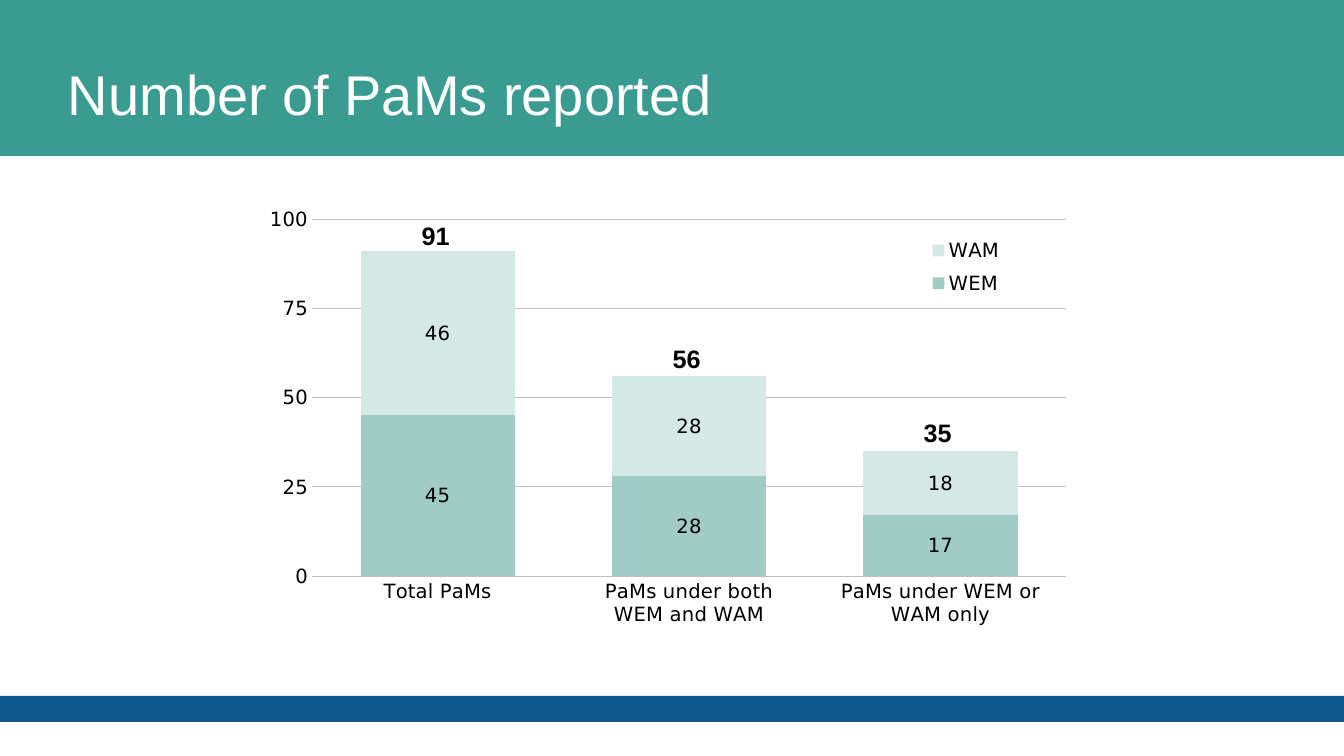
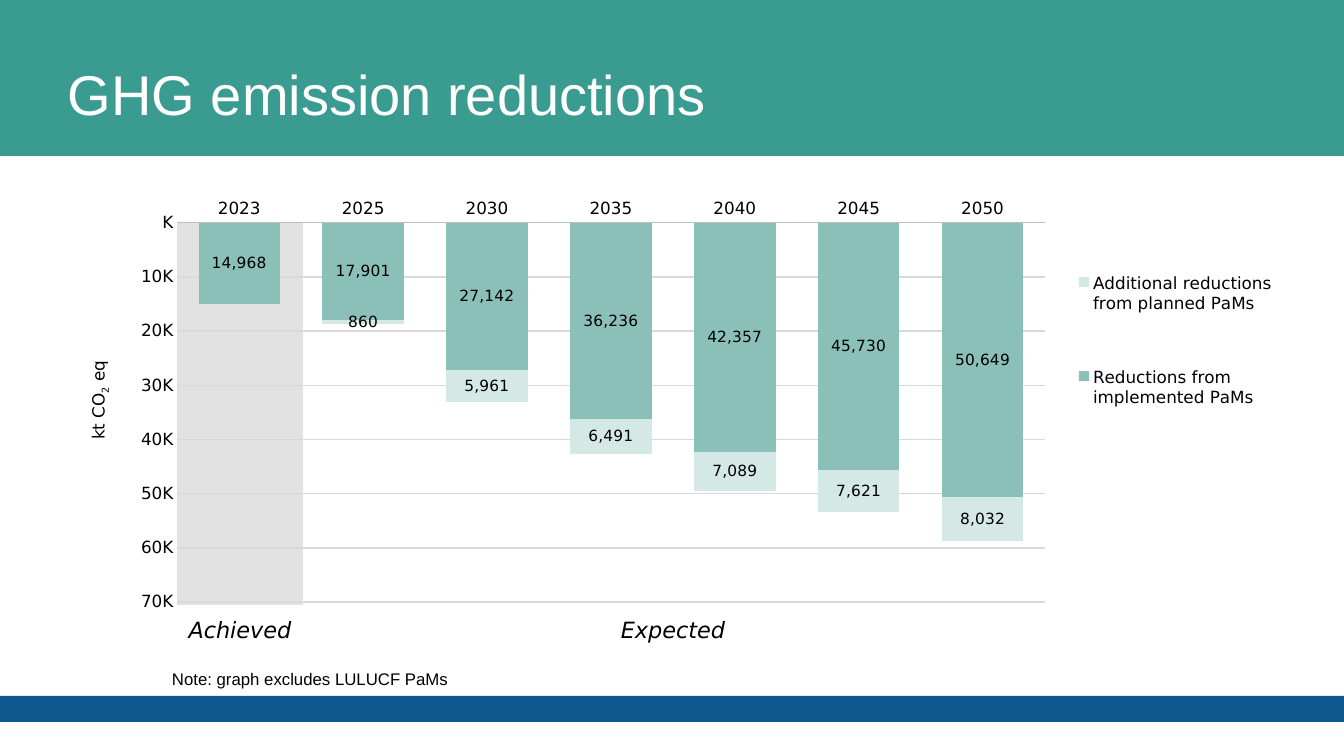
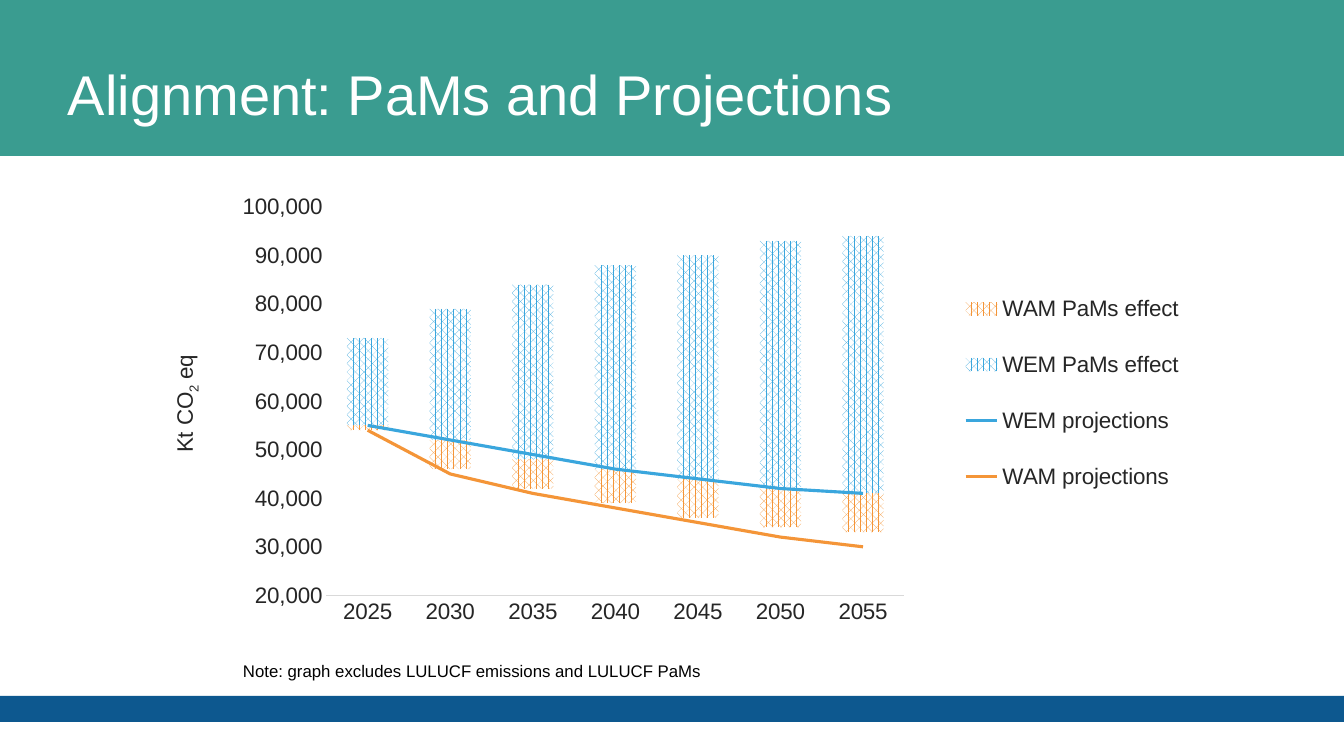
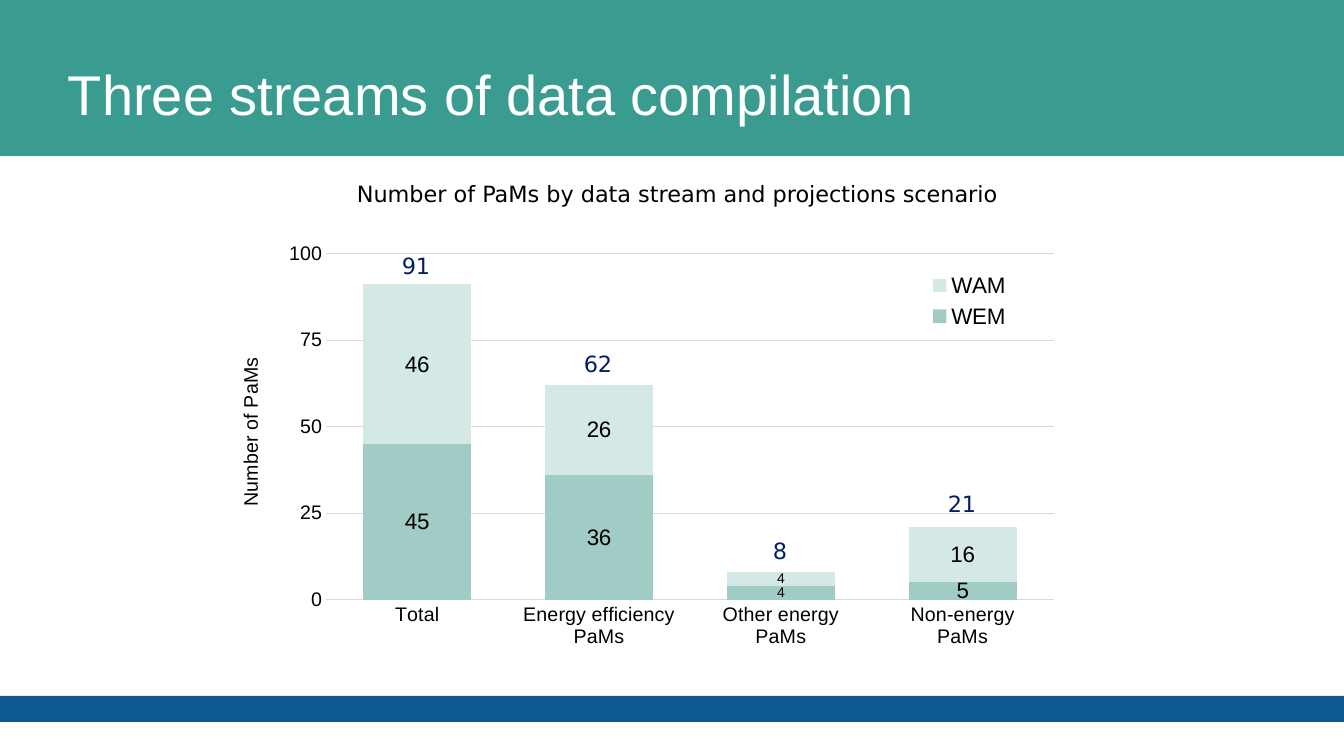
from pptx import Presentation
from pptx.chart.data import CategoryChartData
from pptx.dml.color import RGBColor
from pptx.enum.chart import XL_CHART_TYPE, XL_LABEL_POSITION, XL_LEGEND_POSITION, XL_MARKER_STYLE, XL_TICK_MARK
from pptx.enum.dml import MSO_PATTERN
from pptx.enum.shapes import MSO_SHAPE
from pptx.enum.text import MSO_ANCHOR, PP_ALIGN
from pptx.oxml import parse_xml
from pptx.util import Pt

STACKED = XL_CHART_TYPE.COLUMN_STACKED
CENTER_LABEL = XL_LABEL_POSITION.CENTER
RIGHT, BOTTOM = XL_LEGEND_POSITION.RIGHT, XL_LEGEND_POSITION.BOTTOM
NO_MARKER, NO_TICK = XL_MARKER_STYLE.NONE, XL_TICK_MARK.NONE
DOTS = MSO_PATTERN.PERCENT_60
RECT = MSO_SHAPE.RECTANGLE
TOP, MIDDLE = MSO_ANCHOR.TOP, MSO_ANCHOR.MIDDLE
LEFT, CENTER = PP_ALIGN.LEFT, PP_ALIGN.CENTER

PX = 9071
NS = 'xmlns:c="http://schemas.openxmlformats.org/drawingml/2006/chart"'
SANS, DEJAVU = "Arial", "DejaVu Sans"
BLACK, DARK, WHITE, NAVY = "000000", "262626", "FFFFFF", "002060"
TEAL, BLUE, SHADE = "3A9C90", "0D588F", "E2E2E2"
MINT, PALE, SEA = "A0CCC5", "D4E8E5", "8AC0B7"
SKY, ORANGE = "3AA6DD", "F49538"
GRAY, LIGHT = "BFBFBF", "D9D9D9"


def rgb(color):
    return RGBColor.from_string(color)


def text(s, content, box, size=12, font=SANS, color=BLACK, bold=False,
         italic=False, align=LEFT, anchor=TOP):
    tf = s.shapes.add_textbox(*(v * PX for v in box)).text_frame
    tf.word_wrap = True
    tf.margin_left = tf.margin_right = tf.margin_top = tf.margin_bottom = 0
    tf.vertical_anchor = anchor
    p = tf.paragraphs[0]
    p.alignment = align
    r = p.add_run()
    r.text = content
    r.font.name, r.font.size = font, Pt(size)
    r.font.bold, r.font.italic = bold, italic
    r.font.color.rgb = rgb(color)


pages = [
    dict(
        title="Number of PaMs reported",
        box=(223, 177, 864, 486), plot=(0.103, 0.087, 0.873, 0.734),
        legend=(0.81, 0.107, 0.1, 0.156), legend_pos=RIGHT, legend_size=14,
        font=DEJAVU, size=14, color=BLACK, axis_line=(GRAY, 0.5), grid=(GRAY, 0.5),
        scale=(0, 100, 25), fmt="General", gap=63, label_size=14, label_fmt="General",
        cats=["Total PaMs", "PaMs under both\nWEM and WAM", "PaMs under WEM or WAM only"],
        series=[("WEM", (45, 28, 17), MINT, "solid"),
                ("WAM", (46, 28, 18), PALE, "solid")],
    ),
    dict(
        title="GHG emission reductions",
        box=(49, 169, 1246, 484), plot=(0.103, 0.111, 0.696, 0.784),
        legend=(0.819, 0.105, 0.17, 0.5), legend_pos=RIGHT, legend_size=12,
        font=DEJAVU, size=12, color=BLACK, axis_line=(GRAY, 0.5), grid=(LIGHT, 1),
        scale=(0, 70000, 10000), fmt='#,"K"', gap=52, label_size=11, label_fmt="#,##0;;",
        axis_title=("kt CO", "2", " eq"), axis_title_at=(0.028, 0.39), reverse=True,
        cats=["2023", "2025", "2030", "2035", "2040", "2045", "2050"],
        series=[("Reductions from implemented PaMs",
                 (14968, 17901, 27142, 36236, 42357, 45730, 50649), SEA, "solid"),
                ("Additional reductions from planned PaMs",
                 (0, 860, 5961, 6491, 7089, 7621, 8032), PALE, "solid")],
    ),
    dict(
        title="Alignment: PaMs and Projections",
        box=(147, 181, 1049, 455), plot=(0.171, 0.057, 0.551, 0.854),
        legend=(0.772, 0.185, 0.22, 0.56), legend_pos=BOTTOM, legend_size=16,
        font=SANS, size=16, color=DARK, axis_line=(LIGHT, 0.75), grid=None,
        scale=(20000, 100000, 10000), fmt="#,##0", gap=100, label_size=None,
        axis_title=("Kt CO", "2", " eq"), axis_title_at=(0.02, 0.376),
        cats=["2025", "2030", "2035", "2040", "2045", "2050", "2055"],
        series=[("Series 1", (54000, 46000, 42000, 39000, 36000, 34000, 33000), WHITE, "solid"),
                ("WAM PaMs effect", (1000, 6000, 6000, 7000, 8000, 8000, 8000), ORANGE, "pattern"),
                ("WEM PaMs effect", (18000, 27000, 36000, 42000, 46000, 51000, 53000), SKY, "pattern"),
                ("WEM projections", (55000, 52000, 49000, 46000, 44000, 42000, 41000), SKY, "line"),
                ("WAM projections", (54000, 45000, 41000, 38000, 35000, 32000, 30000), ORANGE, "line")],
    ),
    dict(
        title="Three streams of data compilation",
        box=(208, 231, 870, 438), plot=(0.136, 0.051, 0.836, 0.791),
        legend=(0.825, 0.082, 0.1, 0.155), legend_pos=RIGHT, legend_size=16,
        font=SANS, size=14, color=BLACK, axis_line=(LIGHT, 0.5), grid=(LIGHT, 0.5),
        scale=(0, 100, 25), fmt="General", gap=68, label_size=16, label_fmt="General",
        axis_title=("Number of PaMs",), axis_title_at=(0.03, 0.28), small_point=2,
        cats=["Total", "Energy efficiency\nPaMs", "Other energy\nPaMs", "Non-energy\nPaMs"],
        series=[("WEM", (45, 36, 4, 5), MINT, "solid"),
                ("WAM", (46, 26, 4, 16), PALE, "solid")],
    ),
]

prs = Presentation()
prs.slide_width, prs.slide_height = 1344 * PX, 756 * PX
blank = prs.slide_layouts[6]
for ph in list(blank.placeholders):
    ph.element.getparent().remove(ph.element)
slides = [prs.slides.add_slide(blank) for page in pages]

rects = []
for s, box, color in [(slides[0], (0, 696, 1344, 26), BLUE),
                      (slides[0], (0, 0, 1344, 156), TEAL),
                      (slides[1], (177, 222, 126, 383), SHADE)]:
    sp = s.shapes.add_shape(RECT, *(v * PX for v in box))
    sp.shadow.inherit = False
    sp.fill.solid()
    sp.fill.fore_color.rgb = rgb(color)
    sp.line.fill.background()
    rects.append(sp)
for band in rects[:2]:
    blank.shapes.element.append(band.element)

for s, page in zip(slides, pages):
    text(s, page["title"], (68, 30, 1210, 126), size=40, color=WHITE, anchor=MIDDLE)

    data = CategoryChartData()
    data.categories = page["cats"]
    for name, values, color, kind in page["series"]:
        data.add_series(name, values)
    chart = s.shapes.add_chart(STACKED, *(v * PX for v in page["box"]), data).chart
    chart.has_title = False
    chart.font.name, chart.font.size = page["font"], Pt(page["size"])
    chart.font.color.rgb = rgb(page["color"])
    columns = chart.plots[0]
    columns.gap_width, columns.overlap = page["gap"], 100
    columns.vary_by_categories = False

    cat_axis, val_axis = chart.category_axis, chart.value_axis
    for axis in (cat_axis, val_axis):
        axis.major_tick_mark = axis.minor_tick_mark = NO_TICK
        font = axis.tick_labels.font
        font.name, font.size = page["font"], Pt(page["size"])
        font.color.rgb = rgb(page["color"])
    val_axis.minimum_scale, val_axis.maximum_scale, val_axis.major_unit = page["scale"]
    val_axis.tick_labels.number_format = page["fmt"]
    val_axis.tick_labels.number_format_is_linked = False
    val_axis.reverse_order = page.get("reverse", False)
    val_axis.format.line.fill.background()
    lines = [(cat_axis.format.line, page["axis_line"])]
    val_axis.has_major_gridlines = page["grid"] is not None
    if page["grid"]:
        lines.append((val_axis.major_gridlines.format.line, page["grid"]))
    for line, (color, width) in lines:
        line.color.rgb = rgb(color)
        line.width = Pt(width)

    chart.has_legend = True
    legend = chart.legend
    legend.position = page["legend_pos"]
    legend.include_in_layout = False
    legend.font.name, legend.font.size = page["font"], Pt(page["legend_size"])
    legend.font.color.rgb = rgb(page["color"])
    layouts = [("c:plotArea", page["plot"]), ("c:legend", page["legend"])]

    if "axis_title" in page:
        tf = val_axis.axis_title.text_frame
        body = tf._txBody.bodyPr
        body.set("rot", "-5400000")
        body.set("vert", "horz")
        for part in page["axis_title"]:
            r = tf.paragraphs[0].add_run()
            r.text = part
            r.font.name, r.font.size = page["font"], Pt(page["size"])
            r.font.bold = False
            r.font.color.rgb = rgb(page["color"])
            if part == "2":
                r._r.get_or_add_rPr().set("baseline", "-25000")
        layouts.append(("c:valAx/c:title", page["axis_title_at"]))

    for target, place in layouts:
        node = chart.element.xpath(".//" + target)[0]
        for old in node.xpath("c:layout"):
            node.remove(old)
        inner = '<c:layoutTarget val="inner"/>' if target == "c:plotArea" else ""
        modes = '<c:xMode val="edge"/><c:yMode val="edge"/>'
        sides = "".join(f'<c:{k} val="{v}"/>' for k, v in zip("xywh", place))
        layout = parse_xml(f"<c:layout {NS}><c:manualLayout>{inner}{modes}{sides}"
                           "</c:manualLayout></c:layout>")
        node.xpath("c:overlay|c:barChart")[0].addprevious(layout)

    bar = chart.element.xpath(".//c:barChart")[0]
    moved = [ser for ser, spec in zip(bar.xpath("c:ser"), page["series"]) if spec[3] == "line"]
    if moved:
        line_chart = parse_xml(f'<c:lineChart {NS}><c:grouping val="standard"/>'
                               '<c:varyColors val="0"/></c:lineChart>')
        for ser in moved:
            for flag in ser.xpath("c:invertIfNegative"):
                ser.remove(flag)
            line_chart.append(ser)
        line_chart.append(parse_xml(f'<c:marker {NS} val="1"/>'))
        for ax in bar.xpath("c:axId"):
            line_chart.append(parse_xml(f'<c:axId {NS} val="{ax.get("val")}"/>'))
        bar.addnext(line_chart)
        chart.element.xpath(".//c:legendPos")[0].addnext(parse_xml(
            f'<c:legendEntry {NS}><c:idx val="0"/><c:delete val="1"/></c:legendEntry>'))

    all_series = [series for plot in chart.plots for series in plot.series]
    for series, (name, values, color, kind) in zip(all_series, page["series"]):
        if kind == "line":
            series.format.line.color.rgb = rgb(color)
            series.format.line.width = Pt(2.25)
            series.marker.style = NO_MARKER
            series.smooth = False
            continue
        fill = series.format.fill
        if kind == "pattern":
            fill.patterned()
            fill.pattern = DOTS
            fill.back_color.rgb = rgb(WHITE)
        else:
            fill.solid()
        fill.fore_color.rgb = rgb(color)
        if page["label_size"]:
            labels = series.data_labels
            labels.show_value = True
            labels.number_format = page["label_fmt"]
            labels.number_format_is_linked = False
            label_styles = [(labels, page["label_size"])]
            if "small_point" in page:
                label_styles.append((series.points[page["small_point"]].data_label, 10))
            for label, size in label_styles:
                label.font.name, label.font.size = page["font"], Pt(size)
                label.font.color.rgb = rgb(BLACK)
                label.position = CENTER_LABEL

reported, reductions, alignment, streams = slides

for i, (total, y) in enumerate([("91", 220), ("56", 343), ("35", 417)]):
    text(reported, total, (411 + 251 * i, y, 49, 30), size=18, bold=True, align=CENTER)

for caption, x, w in [("Achieved", 177, 126), ("Expected", 303, 740)]:
    text(reductions, caption, (x, 616, w, 24), size=16, font=DEJAVU, italic=True, align=CENTER)
text(reductions, "Note: graph excludes LULUCF PaMs", (172, 669, 576, 20))

text(alignment, "Note: graph excludes LULUCF emissions and LULUCF PaMs", (243, 661, 576, 20))

text(streams, "Number of PaMs by data stream and projections scenario", (335, 180, 685, 28),
     size=16, font=DEJAVU, align=CENTER)
for i, (total, y) in enumerate([("91", 252), ("62", 350), ("8", 537), ("21", 490)]):
    text(streams, total, (387 + 182 * i, y, 58, 28), size=16, font=DEJAVU, color=NAVY, align=CENTER)

prs.save("out.pptx")
